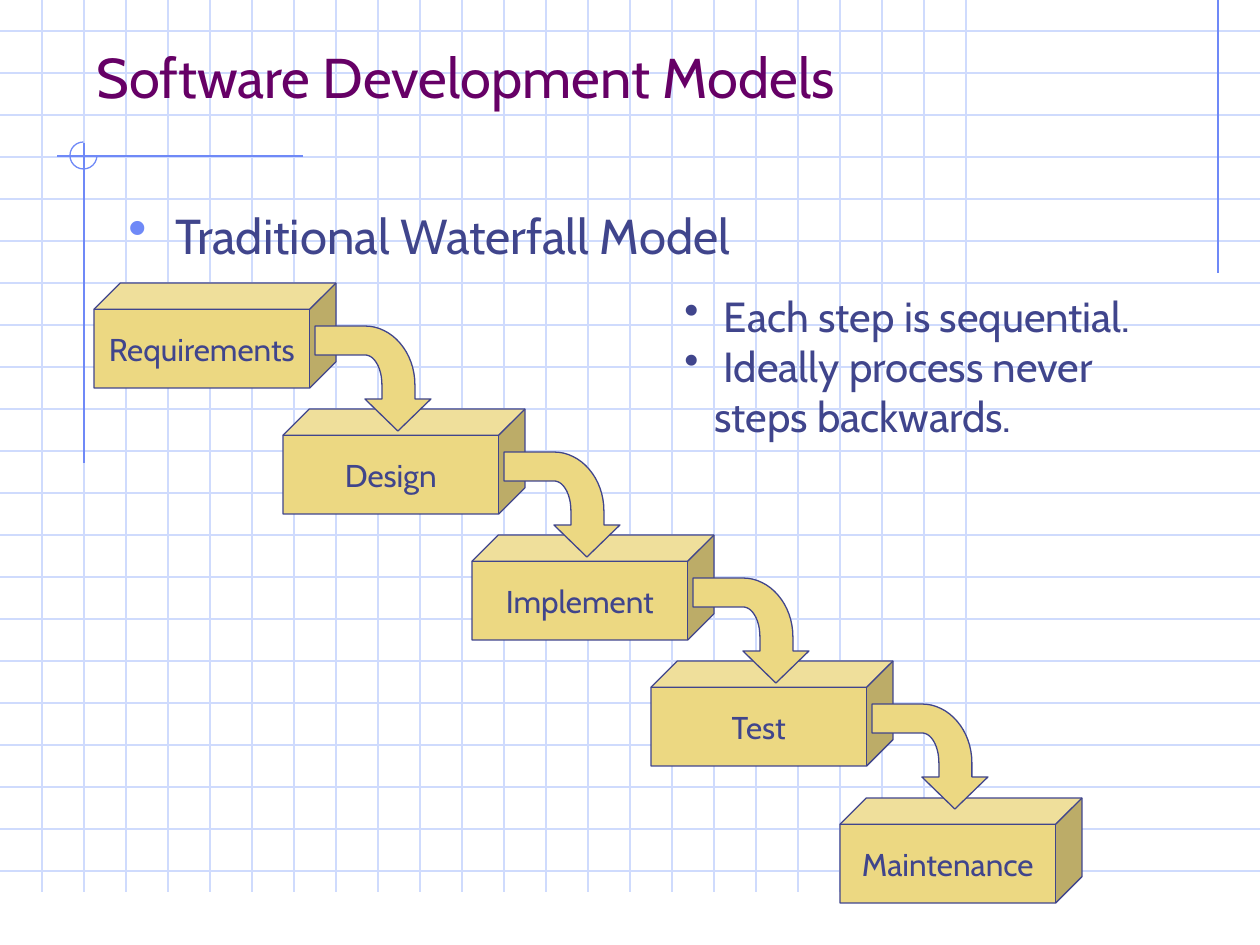
from dataclasses import dataclass
from typing import NamedTuple

from lxml import etree
from pptx import Presentation
from pptx import util as u
from pptx.dml.color import RGBColor
from pptx.enum import shapes, text
from pptx.oxml import ns


@dataclass(frozen=True)
class Theme:
    font: str = "Cabin"
    ink: str = "40458C"
    head: str = "660066"
    gold: str = "ECD882"
    grid: str = "CFDBFD"
    blue: str = "6F89F7"
    line: float = 0.75
    title: int = 32
    body: int = 28
    note: int = 24
    step: int = 18


class Step(NamedTuple):
    name: str
    x: int
    y: int


class Rule(NamedTuple):
    x1: int
    y1: int
    x2: int
    y2: int
    color: str


class Bullet(NamedTuple):
    color: str
    size: int
    indent: int


class Note(NamedTuple):
    lines: list[str]
    box: tuple[int, int, int, int]
    size: int
    color: str
    anchor: text.MSO_ANCHOR = text.MSO_ANCHOR.TOP
    bullet: Bullet | None = None
    before: int = 0


SCALE = 914400 / 126
WIDE, HIGH = 1260, 945
CELL = 42
T = Theme()

STEPS = [
    Step("Requirements", 94, 283),
    Step("Design", 283, 409),
    Step("Implement", 472, 535),
    Step("Test", 651, 661),
    Step("Maintenance", 840, 798),
]

RULES = [
    *[Rule(0, y, WIDE, y, T.grid) for y in range(31, 31 + 21 * CELL, CELL)],
    *[Rule(x, -53, x, 892, T.grid) for x in range(CELL, 24 * CELL, CELL)],
    Rule(1218, -53, 1218, 273, T.blue),
    Rule(303, 156, 57, 156, T.blue),
    Rule(84, 143, 84, 463, T.blue),
]

NOTES = [
    Note(["Software Development Models"], (84, 35, 1071, 81), T.title, T.head,
         anchor=text.MSO_ANCHOR.BOTTOM),
    Note(["Traditional Waterfall Model"], (116, 199, 1071, 142), T.body, T.ink,
         bullet=Bullet(T.blue, 110, 47), before=7),
    Note([" Each step is sequential.", " Ideally process never steps backwards."],
         (672, 284, 514, 166), T.note, T.ink, bullet=Bullet(T.ink, 100, 30)),
]


def px(n: float) -> u.Emu:
    return u.Emu(round(n * SCALE))


def rgb(color: str) -> RGBColor:
    return RGBColor.from_string(color)


def paint(shape, fill: str | None, line: str) -> None:
    shape.shadow.inherit = False
    if fill:
        shape.fill.solid()
        shape.fill.fore_color.rgb = rgb(fill)
    else:
        shape.fill.background()
    shape.line.color.rgb = rgb(line)
    shape.line.width = u.Pt(T.line)


def style(para, size: int, color: str) -> None:
    for run in para.runs:
        run.font.name = T.font
        run.font.size = u.Pt(size)
        run.font.color.rgb = rgb(color)


def draw_rule(slide, rule: Rule) -> None:
    ends = map(px, rule[:4])
    line = slide.shapes.add_connector(shapes.MSO_CONNECTOR.STRAIGHT, *ends)
    line.line.color.rgb = rgb(rule.color)
    line.line.width = u.Pt(T.line)
    etree.SubElement(line._element.spPr, ns.qn("a:effectLst"))


def draw_arc(slide) -> None:
    arc = slide.shapes.add_shape(
        shapes.MSO_SHAPE.ARC, px(70), px(142), px(27), px(27))
    arc.adjustments[0] = 0
    arc.adjustments[1] = 162
    paint(arc, None, T.blue)


def curve(a, b, c, d, count: int = 16) -> list[tuple[float, float]]:
    spots = []
    for i in range(1, count + 1):
        t = i / count
        s = 1 - t
        spots.append(tuple(
            s**3 * p + 3 * s * s * t * q + 3 * s * t * t * r + t**3 * v
            for p, q, r, v in zip(a, b, c, d)))
    return spots


def draw_arrow(slide, step: Step) -> None:
    left, top = step.x + 221, step.y + 43
    spots = [
        (83, 105), (116, 73), (100, 73), (100, 59),
        *curve((100, 59), (100, 26), (77, 0), (50, 0)),
        (0, 0), (0, 29), (50, 29),
        *curve((50, 29), (60, 29), (67, 43), (67, 59)),
        (67, 73), (50, 73),
    ]
    ends = [(px(left + x), px(top + y)) for x, y in spots]
    form = slide.shapes.build_freeform(*ends[0])
    form.add_line_segments(ends[1:], close=True)
    paint(form.convert_to_shape(), T.gold, T.ink)


def draw_step(slide, step: Step) -> None:
    cube = slide.shapes.add_shape(
        shapes.MSO_SHAPE.CUBE, px(step.x), px(step.y), px(242), px(105))
    cube.adjustments[0] = 0.25
    paint(cube, T.gold, T.ink)
    frame = cube.text_frame
    frame.text = step.name
    frame.word_wrap = False
    frame.vertical_anchor = text.MSO_ANCHOR.MIDDLE
    para = frame.paragraphs[0]
    para.alignment = text.PP_ALIGN.CENTER
    style(para, T.step, T.ink)
    if step != STEPS[-1]:
        draw_arrow(slide, step)


def mark(para, bullet: Bullet) -> None:
    props = para._p.get_or_add_pPr()
    props.set("marL", str(px(bullet.indent)))
    props.set("indent", str(-px(bullet.indent)))
    color = etree.SubElement(props, ns.qn("a:buClr"))
    etree.SubElement(color, ns.qn("a:srgbClr"), val=bullet.color)
    etree.SubElement(props, ns.qn("a:buSzPct"), val=str(bullet.size * 1000))
    etree.SubElement(props, ns.qn("a:buChar"), char="•")


def draw_note(slide, note: Note) -> None:
    frame = slide.shapes.add_textbox(*map(px, note.box)).text_frame
    frame.word_wrap = True
    frame.vertical_anchor = note.anchor
    frame.text = "\n".join(note.lines)
    for para in frame.paragraphs:
        para.space_before = u.Pt(note.before)
        style(para, note.size, note.color)
        if note.bullet:
            mark(para, note.bullet)


def main() -> None:
    deck = Presentation()
    deck.slide_width, deck.slide_height = px(WIDE), px(HIGH)
    slide = deck.slides.add_slide(deck.slide_layouts[6])
    for rule in RULES:
        draw_rule(slide, rule)
    draw_arc(slide)
    for step in reversed(STEPS):
        draw_step(slide, step)
    for note in NOTES:
        draw_note(slide, note)
    deck.save("out.pptx")


if __name__ == "__main__":
    main()
